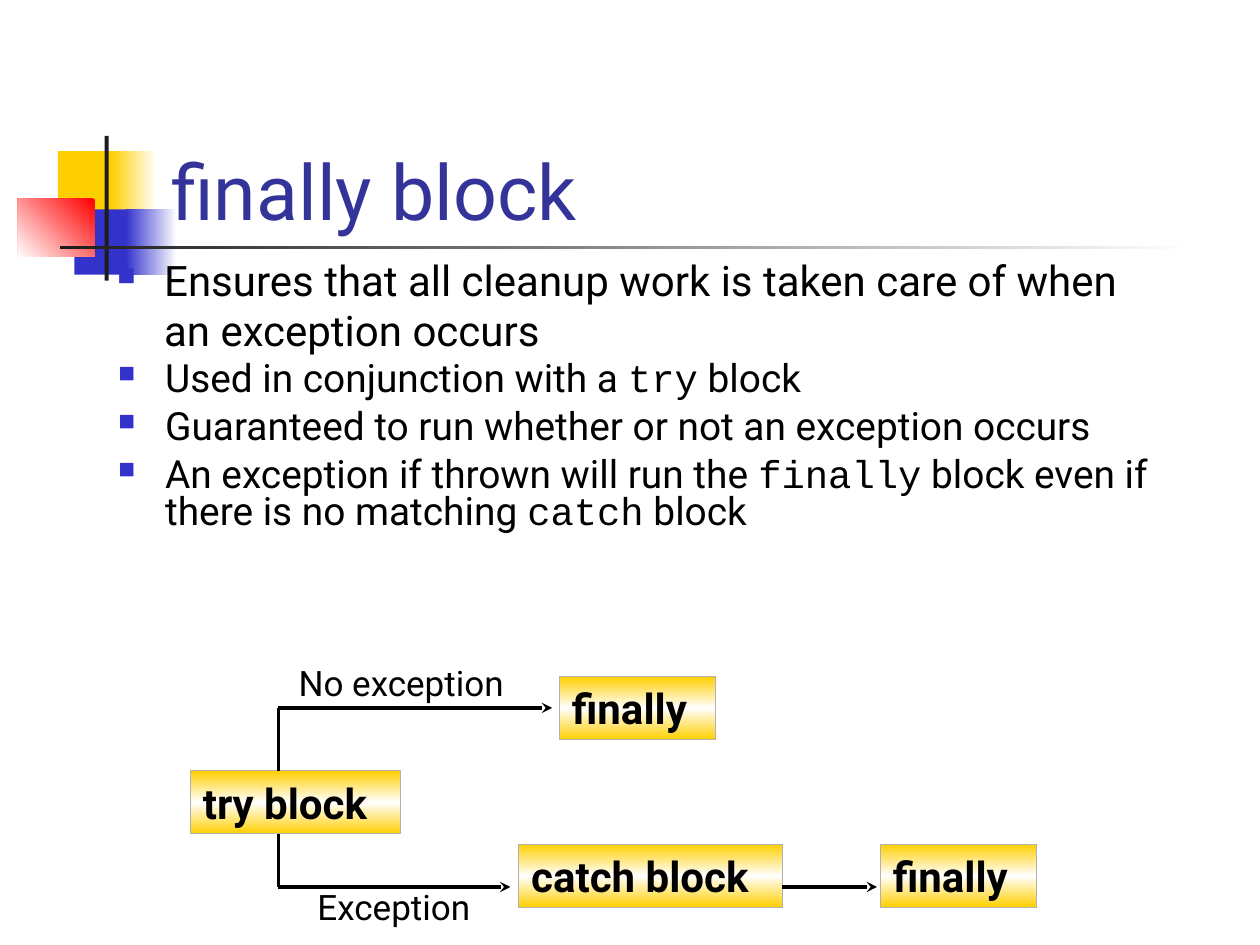
from typing import NamedTuple

import pptx
import pptx.dml.color
import pptx.enum.shapes
import pptx.enum.text
import pptx.oxml
import pptx.oxml.ns
import pptx.util

Cm, Pt = pptx.util.Cm, pptx.util.Pt
RGBColor = pptx.dml.color.RGBColor
MSO_SHAPE = pptx.enum.shapes.MSO_SHAPE
NSDECL = pptx.oxml.ns.nsdecls("a")

WHITE = RGBColor(0xFF, 0xFF, 0xFF)
BLACK = RGBColor(0x00, 0x00, 0x00)
DARK = RGBColor(0x1C, 0x1C, 0x1C)
GOLD = RGBColor(0xFF, 0xCF, 0x01)
BLUE = RGBColor(0x33, 0x33, 0xCC)
RED = RGBColor(0xFF, 0x00, 0x00)
NAVY = RGBColor(0x33, 0x33, 0x99)
GREY = RGBColor(0xB2, 0xB2, 0xB2)

SANS, MONO = "Roboto", "Courier New"


class Block(NamedTuple):
    """A filled rectangle; several colours make an even gradient."""
    left: float
    top: float
    width: float
    height: float
    colors: tuple
    angle: int = 0


class Step(NamedTuple):
    text: str
    left: float
    top: float
    width: float


class Label(NamedTuple):
    text: str
    left: float
    top: float
    width: float


class Link(NamedTuple):
    x1: float
    y1: float
    x2: float
    y2: float
    arrow: bool = False


DECOR = [
    Block(1.17, 3.05, 1.22, 1.32, (GOLD,)),
    Block(2.24, 3.05, 0.91, 1.32, (WHITE, GOLD), 180),
    Block(1.5, 4.22, 1.17, 1.32, (BLUE,)),
    Block(2.54, 4.22, 1.02, 1.32, (WHITE, BLUE), 180),
    Block(0.36, 4.01, 1.55, 1.17, (RED, WHITE), 135),
    Block(2.11, 2.74, 0.08, 2.92, (DARK,)),
    Block(1.22, 4.95, 22.86, 0.08, (WHITE, DARK), 180),
]

STEP_HEIGHT = 1.27
STEPS = [
    Step("catch block", 10.46, 17.02, 5.31),
    Step("finally", 17.75, 17.02, 3.15),
    Step("finally", 11.28, 13.64, 3.15),
    Step("try block", 3.84, 15.54, 4.24),
]

FORK_X, UPPER_Y, LOWER_Y = 5.61, 14.27, 17.88
LINKS = [
    Link(15.77, LOWER_Y, 17.68, LOWER_Y, True),
    Link(FORK_X, 16.81, FORK_X, LOWER_Y),
    Link(FORK_X, LOWER_Y, 10.29, LOWER_Y, True),
    Link(FORK_X, 15.54, FORK_X, UPPER_Y),
    Link(FORK_X, UPPER_Y, 11.13, UPPER_Y, True),
]

LABELS = [
    Label("Exception", 6.15, 17.73, 3.73),
    Label("No exception", 5.77, 13.21, 4.9),
]

# Each bullet is a list of (text, font name) runs.
LEAD = [[("Ensures that all cleanup work is taken care of when an exception occurs", SANS)]]
POINTS = [
    [("Used in conjunction with a ", SANS), ("try", MONO), (" block", SANS)],
    [("Guaranteed to run whether or not an exception occurs", SANS)],
    [("An exception if thrown will run the ", SANS), ("finally", MONO),
     (" block even if there is no matching ", SANS), ("catch", MONO), (" block", SANS)],
]


def set_attrs(obj, **values) -> None:
    for name, value in values.items():
        setattr(obj, name, value)


def set_font(font, size: float, color: RGBColor = BLACK, name: str = SANS, bold: bool = False) -> None:
    set_attrs(font, size=Pt(size), name=name, bold=bold)
    font.color.rgb = color


def set_frame(tf, anchor=pptx.enum.text.MSO_ANCHOR.TOP) -> None:
    set_attrs(tf, word_wrap=True, auto_size=pptx.enum.text.MSO_AUTO_SIZE.NONE, vertical_anchor=anchor)


def write(tf, text: str, size: float, color: RGBColor = BLACK, bold: bool = False) -> None:
    p = tf.paragraphs[0]
    p.alignment = pptx.enum.text.PP_ALIGN.LEFT
    r = p.add_run()
    r.text = text
    set_font(r.font, size, color, bold=bold)


def set_gradient(fill, colors: tuple, angle: int) -> None:
    """Spread the colours evenly; the angle is clockwise."""
    fill.gradient()
    fill.gradient_angle = (360 - angle) % 360
    stops = "".join(
        f'<a:gs pos="{100000 * i // (len(colors) - 1)}"><a:srgbClr val="{c}"/></a:gs>'
        for i, c in enumerate(colors))
    grad = fill._xPr.find(pptx.oxml.ns.qn("a:gradFill"))
    old = grad.find(pptx.oxml.ns.qn("a:gsLst"))
    grad.replace(old, pptx.oxml.parse_xml(f"<a:gsLst {NSDECL}>{stops}</a:gsLst>"))


def add_block(s, block: Block):
    sp = s.shapes.add_shape(MSO_SHAPE.RECTANGLE, *map(Cm, block[:4]))
    sp.shadow.inherit = False
    sp.line.fill.background()
    if len(block.colors) == 1:
        sp.fill.solid()
        sp.fill.fore_color.rgb = block.colors[0]
    else:
        set_gradient(sp.fill, block.colors, block.angle)
    return sp


def add_step(s, step: Step) -> None:
    sp = add_block(s, Block(step.left, step.top, step.width, STEP_HEIGHT, (GOLD, WHITE, GOLD), 90))
    sp.line.color.rgb = GREY
    sp.line.width = Pt(0.75)
    set_frame(sp.text_frame)
    write(sp.text_frame, step.text, 24, bold=True)


def add_label(s, label: Label) -> None:
    sp = s.shapes.add_textbox(Cm(label.left), Cm(label.top), Cm(label.width), Cm(1.12))
    set_frame(sp.text_frame)
    write(sp.text_frame, label.text, 20)


def add_link(s, link: Link) -> None:
    sp = s.shapes.add_connector(pptx.enum.shapes.MSO_CONNECTOR.STRAIGHT, *map(Cm, link[:4]))
    sp.line.color.rgb = BLACK
    sp.line.width = Pt(2)
    if link.arrow:
        sp.line._get_or_add_ln().append(pptx.oxml.parse_xml(f'<a:tailEnd {NSDECL} type="stealth"/>'))
    sp._element.spPr.append(pptx.oxml.parse_xml(f"<a:effectLst {NSDECL}/>"))


def add_bullets(s, at: tuple, bullets: list, size: float, spacing: float) -> None:
    tf = s.shapes.add_textbox(*map(Cm, at)).text_frame
    set_frame(tf)
    for i, runs in enumerate(bullets):
        p = tf.add_paragraph() if i else tf.paragraphs[0]
        pPr = p._p.get_or_add_pPr()
        pPr.set("marL", str(Cm(0.95)))
        pPr.set("indent", str(-Cm(0.95)))
        for xml in (f'<a:buClr {NSDECL}><a:srgbClr val="{BLUE}"/></a:buClr>',
                    f'<a:buSzPct {NSDECL} val="60000"/>',
                    f'<a:buChar {NSDECL} char="■"/>'):
            pPr.append(pptx.oxml.parse_xml(xml))
        set_attrs(p, line_spacing=spacing, space_before=Pt(6 if i else 0))
        for text, name in runs:
            r = p.add_run()
            r.text = text
            set_font(r.font, size, name=name)


def main() -> None:
    prs = pptx.Presentation()
    set_attrs(prs, slide_width=Cm(25.4), slide_height=Cm(19.05))
    s = prs.slides.add_slide(prs.slide_layouts[5])
    for block in DECOR:
        add_block(s, block)

    title = s.shapes.title
    set_attrs(title, left=Cm(3.2), top=Cm(1.7), width=Cm(21.64), height=Cm(3.18))
    set_frame(title.text_frame, pptx.enum.text.MSO_ANCHOR.BOTTOM)
    write(title.text_frame, "finally block", 44, NAVY)
    s.shapes._spTree.append(title._element)  # in front of the decoration

    add_bullets(s, (2.13, 7.19, 21.59, 4.55), POINTS, 22.2, 0.8)
    for draw, items in ((add_step, STEPS), (add_link, LINKS), (add_label, LABELS)):
        for item in items:
            draw(s, item)
    add_bullets(s, (2.11, 5, 21.59, 2.62), LEAD, 24, 1.0)
    prs.save("out.pptx")


if __name__ == "__main__":
    main()
